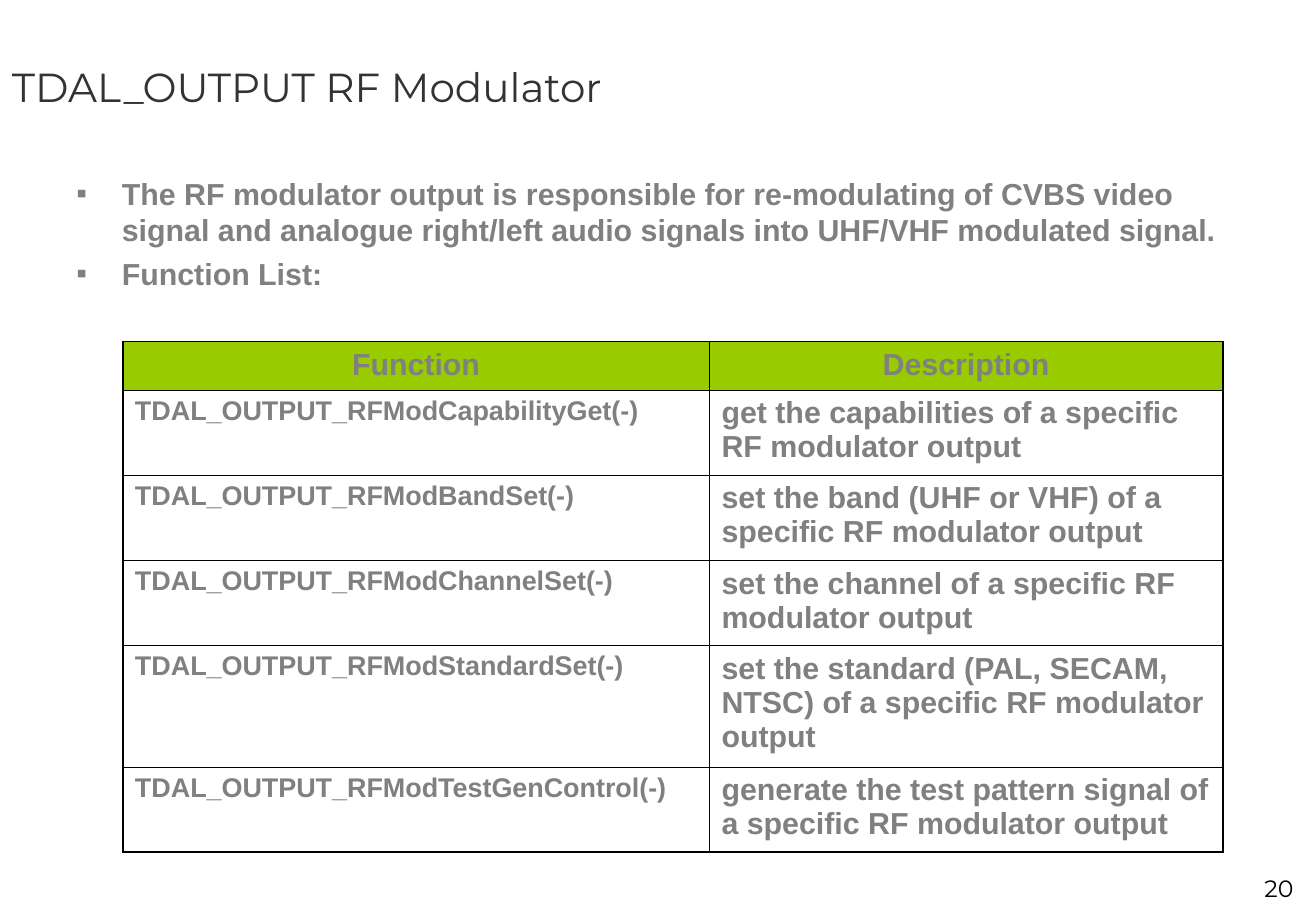
from typing import NamedTuple

from lxml.etree import SubElement
from pptx import Presentation
from pptx.dml.color import RGBColor
from pptx.enum.text import MSO_ANCHOR, PP_ALIGN
from pptx.oxml.ns import qn
from pptx.util import Cm, Pt

GREY, BLACK, GREEN = "808080", "000000", "99CC00"
THIN, THICK = Pt(0.45), Pt(1.08)


class Style(NamedTuple):
    size: float
    font: str = "Arial"
    color: str = GREY
    bold: bool = True
    align: PP_ALIGN = PP_ALIGN.LEFT


class TextBlock(NamedTuple):
    left: float
    top: float
    width: float
    height: float
    lines: list[str]
    style: Style
    anchor: MSO_ANCHOR = MSO_ANCHOR.TOP
    bullet: str = ""


class Function(NamedTuple):
    name: str
    description: str
    height: float = 1.78


HEADER = Style(18, align=PP_ALIGN.CENTER)
NAME = Style(16)
BODY = Style(18)

BLOCKS = [
    TextBlock(0, 0, 27.51, 3.61, ["TDAL_OUTPUT RF Modulator"],
              Style(24, "Montserrat", "333333", False), MSO_ANCHOR.MIDDLE),
    TextBlock(1.35, 3.53, 24.79, 12.57, [
        "The RF modulator output is responsible for re-modulating of CVBS video "
        "signal and analogue right/left audio signals into UHF/VHF modulated signal.",
        "Function List:",
    ], BODY, bullet="▪"),
    TextBlock(24.36, 18.14, 2.95, 0.84, ["20"],
              Style(14, "Montserrat", BLACK, False, PP_ALIGN.RIGHT)),
]

FUNCTIONS = [
    Function("TDAL_OUTPUT_RFModCapabilityGet(-)",
             "get the capabilities of a specific RF modulator output"),
    Function("TDAL_OUTPUT_RFModBandSet(-)",
             "set the band (UHF or VHF) of a specific RF modulator output"),
    Function("TDAL_OUTPUT_RFModChannelSet(-)",
             "set the channel of a specific RF modulator output"),
    Function("TDAL_OUTPUT_RFModStandardSet(-)",
             "set the standard (PAL, SECAM, NTSC) of a specific RF modulator output", 2.54),
    Function("TDAL_OUTPUT_RFModTestGenControl(-)",
             "generate the test pattern signal of a specific RF modulator output"),
]


def rgb(color: str) -> RGBColor:
    return RGBColor.from_string(color)


def apply_style(para, style: Style) -> None:
    para.alignment = style.align
    para.font.name = style.font
    para.font.size = Pt(style.size)
    para.font.bold = style.bold
    para.font.color.rgb = rgb(style.color)


def add_bullet(para, bullet: str) -> None:
    properties = para._p.get_or_add_pPr()
    properties.set("marL", str(Cm(0.95)))
    properties.set("indent", str(-Cm(0.95)))
    SubElement(properties, qn("a:buFont"), typeface="Arial")
    SubElement(properties, qn("a:buChar"), char=bullet)


def add_text(page, block: TextBlock) -> None:
    box = page.shapes.add_textbox(Cm(block.left), Cm(block.top),
                                  Cm(block.width), Cm(block.height))
    frame = box.text_frame
    frame.word_wrap = True
    frame.vertical_anchor = block.anchor
    for index, line in enumerate(block.lines):
        para = frame.add_paragraph() if index else frame.paragraphs[0]
        para.text = line
        if block.bullet:
            add_bullet(para, block.bullet)
        if index:
            para.space_before = Pt(4.5)
        apply_style(para, block.style)


def add_borders(cell, outer_sides: dict[str, bool]) -> None:
    properties = cell._tc.get_or_add_tcPr()
    for side, outer in outer_sides.items():
        line = SubElement(properties, qn(f"a:ln{side}"), w=str(THICK if outer else THIN))
        fill = SubElement(line, qn("a:solidFill"))
        SubElement(fill, qn("a:srgbClr"), val=BLACK)


def add_function_table(page, functions: list[Function]) -> None:
    rows = [Function("Function", "Description", 1.02), *functions]
    widths = [12.27, 10.74]
    height = sum(row.height for row in rows)
    table = page.shapes.add_table(len(rows), len(widths), Cm(2.57), Cm(7.14),
                                  Cm(sum(widths)), Cm(height)).table
    table.first_row = table.horz_banding = False
    for column, width in zip(table.columns, widths):
        column.width = Cm(width)
    for r, row in enumerate(rows):
        table.rows[r].height = Cm(row.height)
        styles = (NAME, BODY) if r else (HEADER, HEADER)
        for c, (text, style) in enumerate(zip((row.name, row.description), styles)):
            cell = table.cell(r, c)
            cell.text = text
            apply_style(cell.text_frame.paragraphs[0], style)
            add_borders(cell, {"L": c == 0, "R": c == len(widths) - 1,
                               "T": r == 0, "B": r == len(rows) - 1})
            if r:
                cell.fill.background()
            else:
                cell.fill.solid()
                cell.fill.fore_color.rgb = rgb(GREEN)


def main() -> None:
    deck = Presentation()
    deck.slide_width, deck.slide_height = Cm(27.53), Cm(19.05)
    page = deck.slides.add_slide(deck.slide_layouts[6])

    # Title, bullets and page number
    for block in BLOCKS:
        add_text(page, block)

    # Function list
    add_function_table(page, FUNCTIONS)

    deck.save("out.pptx")


if __name__ == "__main__":
    main()
